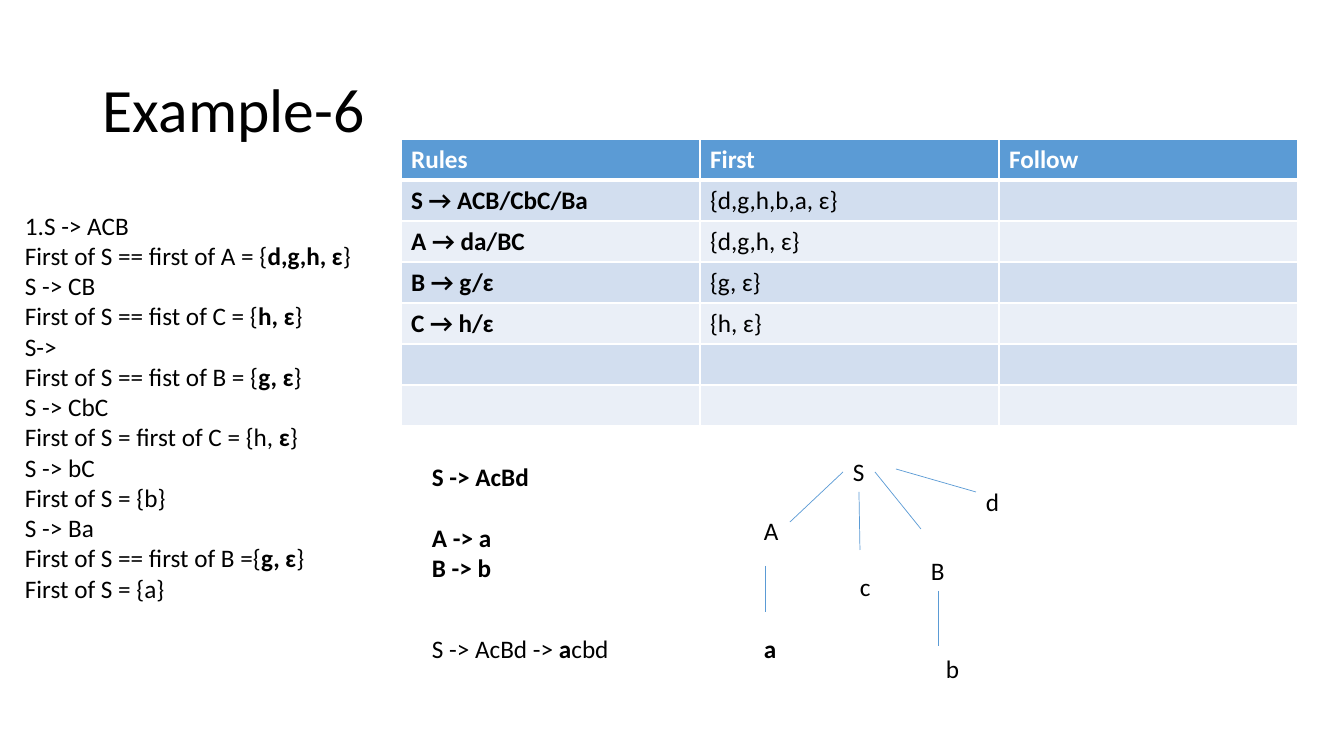
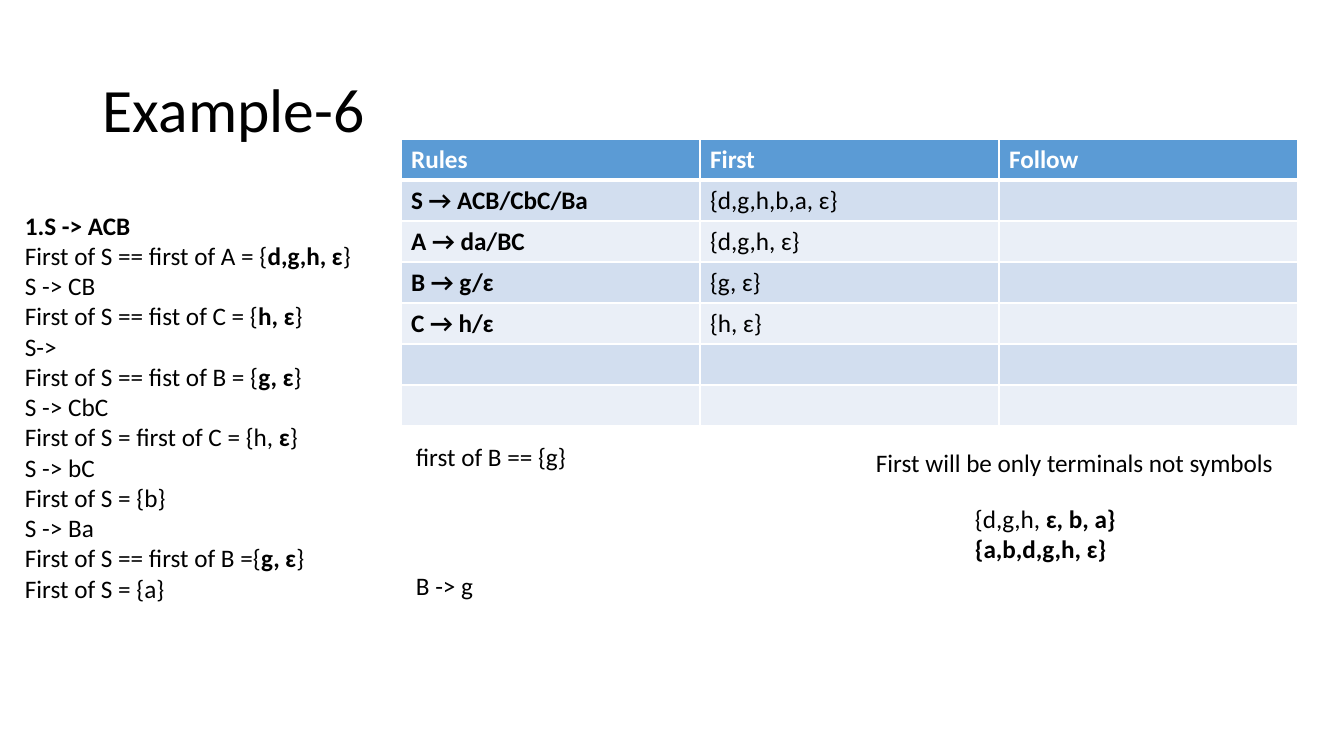
from dataclasses import dataclass
from typing import NamedTuple

from lxml.etree import SubElement
from pptx import Presentation
from pptx.dml.color import RGBColor
from pptx.enum.shapes import MSO_CONNECTOR as Connector
from pptx.enum.text import MSO_ANCHOR as Anchor, MSO_AUTO_SIZE as AutoSize
from pptx.oxml.ns import qn
from pptx.slide import Slide
from pptx.table import _Cell as Cell
from pptx.text.text import _Paragraph as Paragraph
from pptx.util import Emu, Pt

PX = 914400 / 100.8


@dataclass(frozen=True)
class Theme:
    """Colours, font and sizes shared by the slides."""
    font: str = "Calibri"
    title_size: int = 44
    body_size: int = 18
    line_gap: int = 22
    ink: str = "000000"
    paper: str = "FFFFFF"
    accent: str = "5B9BD5"
    bands: tuple[str, str] = ("D2DEEF", "EAEFF7")
    branch_width: float = 0.5
    rule_width: int = 1
    header_rule_width: int = 3


class Label(NamedTuple):
    """A text box; *stars* mark bold, and an empty line becomes a gap."""
    text: str
    x: int
    y: int
    w: int
    h: int = 40


class Branch(NamedTuple):
    """A line of the parse tree, end to end."""
    x1: int
    y1: int
    x2: int
    y2: int


class Page(NamedTuple):
    """What differs from slide to slide."""
    first_note: str
    labels: list[Label]
    branches: list[Branch]


THEME = Theme()
TITLE = Label("Example-6", 93, 40, 1159, 146)
TABLE_X, TABLE_Y, COL_W, ROW_H = 401, 139, 299, 41
ROWS = [
    ("Rules", "First", "Follow"),
    ("S → ACB/CbC/Ba", "{d,g,h,b,a, ɛ}", ""),
    ("A → da/BC", "{d,g,h, ɛ} ", ""),
    ("B → g/ɛ", "{g, ɛ}", ""),
    ("C → h/ɛ", "{h, ɛ}", ""),
    ("", "", ""),
    ("", "", ""),
]
NOTES = """
First of S == first of A = {*d,g,h, ɛ*}\x20
S -> CB
First of S == fist of C = {*h, ɛ*}
S->\x20
First of S == fist of B = {*g, ɛ*}
S -> CbC
First of S = first of C = {h, *ɛ*}
S -> bC
First of S = {b}
S -> Ba
First of S == first of B ={*g, ɛ*}
First of S = {a}"""

PAGES = [
    Page(
        "1.S -> ACB",
        [
            Label("*S -> AcBd*\n\n*A -> a*\n*B -> b*", 422, 456, 118, 132),
            Label("S", 843, 451, 32),
            Label("A", 754, 510, 35),
            Label("c", 850, 566, 31),
            Label("B", 921, 550, 34),
            Label("d", 976, 481, 34),
            Label("*a*", 754, 628, 33),
            Label("b", 936, 648, 34),
            Label("S -> AcBd -> *a*cbd", 422, 628, 199),
        ],
        [
            Branch(843, 472, 790, 522),
            Branch(859, 492, 860, 550),
            Branch(875, 472, 921, 529),
            Branch(896, 469, 976, 492),
            Branch(765, 566, 765, 612),
            Branch(938, 591, 938, 646),
        ],
    ),
    Page(
        "*1.S -> ACB*",
        [
            Label("first of B == {g}", 406, 436, 172),
            Label("First will be only terminals not symbols", 866, 442, 421),
            Label("{d,g,h, *ɛ, b, a}*\n*{a,b,d,g,h, ɛ}*", 965, 498, 163, 72),
            Label("B -> g", 406, 565, 79),
        ],
        [],
    ),
]


def px(n: float) -> Emu:
    """Turn pixels into EMU."""
    return Emu(round(n * PX))


def rgb(color: str) -> RGBColor:
    """Turn a hex string into a colour."""
    return RGBColor.from_string(color)


def style(p: Paragraph, size: int, color: str) -> None:
    """Set the font that all runs of a paragraph share."""
    p.font.name = THEME.font
    p.font.size = Pt(size)
    p.font.color.rgb = rgb(color)


def add_label(s: Slide, label: Label, size: int = THEME.body_size) -> Paragraph:
    """Add a non-wrapping text box and return its first paragraph."""
    sp = s.shapes.add_textbox(*map(px, label[1:]))
    tf = sp.text_frame
    tf.word_wrap = False
    tf.auto_size = AutoSize.SHAPE_TO_FIT_TEXT
    p, gap = tf.paragraphs[0], 0
    for i, line in enumerate(label.text.split("\n")):
        if not line:
            gap += THEME.line_gap
            continue
        if i:
            p = tf.add_paragraph()
        style(p, size, THEME.ink)
        if gap:
            p.space_before, gap = Pt(gap), 0
        for j, part in enumerate(line.split("*")):
            if part:
                r = p.add_run()
                r.text = part
                if j % 2:
                    r.font.bold = True
    return tf.paragraphs[0]


def add_title(s: Slide) -> None:
    """Add the title, centred vertically in its band."""
    p = add_label(s, TITLE, THEME.title_size)
    p.line_spacing = 0.9
    tf = s.shapes[-1].text_frame
    tf.word_wrap = True
    tf.auto_size = AutoSize.NONE
    tf.vertical_anchor = Anchor.MIDDLE


def set_borders(cell: Cell, top: int, bottom: int) -> None:
    """Rule a cell on all four sides."""
    tc_pr = cell._tc.get_or_add_tcPr()
    side = THEME.rule_width
    for tag, width in (("lnL", side), ("lnR", side), ("lnT", top), ("lnB", bottom)):
        ln = SubElement(tc_pr, qn(f"a:{tag}"), w=str(Pt(width)))
        fill = SubElement(ln, qn("a:solidFill"))
        SubElement(fill, qn("a:srgbClr"), val=THEME.paper)


def add_rules_table(s: Slide) -> None:
    """Add the table of First and Follow sets."""
    n_cols = len(ROWS[0])
    frame = s.shapes.add_table(
        len(ROWS), n_cols, px(TABLE_X), px(TABLE_Y),
        px(COL_W * n_cols), px(ROW_H * len(ROWS)))
    table = frame.table
    for row in table.rows:
        row.height = px(ROW_H)
    thin, thick = THEME.rule_width, THEME.header_rule_width
    for i, texts in enumerate(ROWS):
        header = i == 0
        for j, text in enumerate(texts):
            cell = table.cell(i, j)
            set_borders(cell, thick if i == 1 else thin, thick if header else thin)
            cell.fill.solid()
            cell.fill.fore_color.rgb = rgb(
                THEME.accent if header else THEME.bands[(i - 1) % 2])
            cell.text = text
            p = cell.text_frame.paragraphs[0]
            style(p, THEME.body_size, THEME.paper if header else THEME.ink)
            p.font.bold = header or j == 0


def add_branch(s: Slide, branch: Branch) -> None:
    """Add one line of the parse tree."""
    line = s.shapes.add_connector(Connector.STRAIGHT, *map(px, branch))
    line.line.color.rgb = rgb(THEME.accent)
    line.line.width = Pt(THEME.branch_width)
    SubElement(line._element.spPr, qn("a:effectLst"))


def add_page(prs: Presentation, page: Page) -> None:
    """Build one slide."""
    s = prs.slides.add_slide(prs.slide_layouts[6])
    add_title(s)
    add_rules_table(s)
    add_label(s, Label(page.first_note + NOTES, 15, 205, 356, 407))
    for label in page.labels:
        add_label(s, label)
    for branch in page.branches:
        add_branch(s, branch)


def main() -> None:
    """Build and save the presentation."""
    prs = Presentation()
    prs.slide_width, prs.slide_height = px(1344), px(756)
    for page in PAGES:
        add_page(prs, page)
    prs.save("out.pptx")


main()
